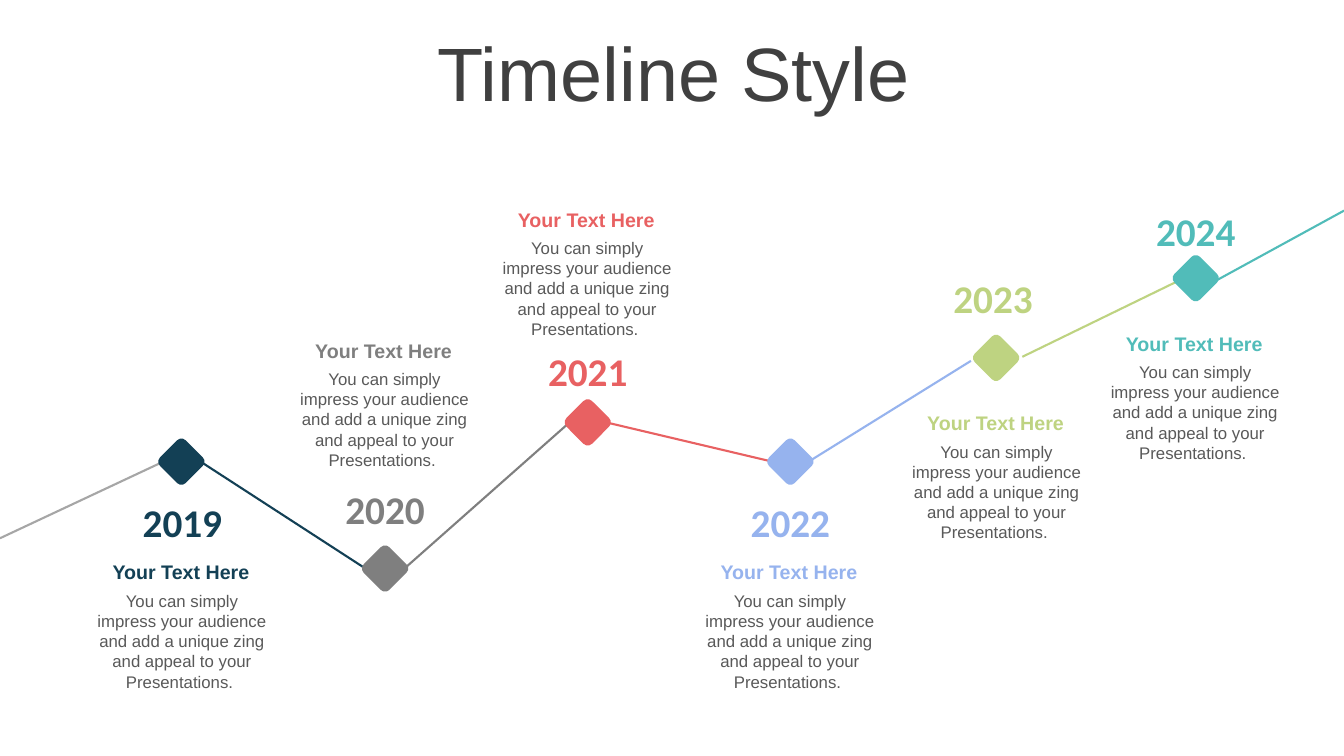
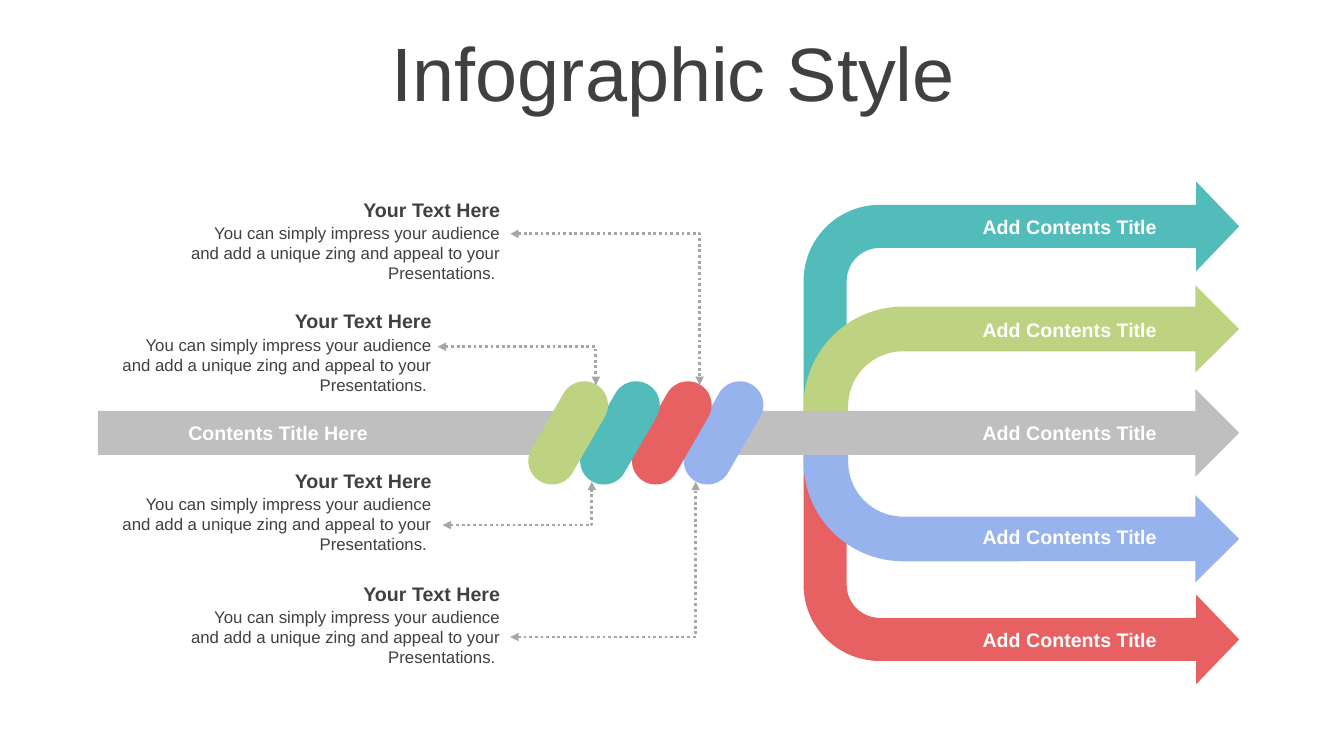
from lxml import etree
from pptx import Presentation
from pptx import util as u
from pptx.dml.color import RGBColor
from pptx.enum import dml, shapes, text
from pptx.oxml.ns import qn

PX = 9144  # EMU in one px, 100 px to the inch
WIDTH, HEIGHT = 1333, 750

NAVY, GRAY, RED = "134055", "7F7F7F", "E86162"
BLUE, GREEN, TEAL = "96B3EE", "BED381", "51BCB9"
INK, BODY, WHITE = "404040", "595959", "FFFFFF"
BAR, RULE = "BFBFBF", "A6A6A6"

CENTER, RIGHT = text.PP_ALIGN.CENTER, text.PP_ALIGN.RIGHT
HEADING = "Your Text Here"
MESSAGE = ("You can simply impress your audience and add a unique zing "
           "and appeal to your Presentations. ")

MARKER = 36
YEAR_LEFT, YEAR_STEP = 123, 201
# year, colour, marker left and top, year top, caption left and top
MILESTONES = [
    ("2019", NAVY, 162, 440, 489, 84, 551),
    ("2020", GRAY, 364, 546, 477, 285, 331),
    ("2021", RED, 565, 401, 340, 486, 201),
    ("2022", BLUE, 766, 440, 489, 687, 551),
    ("2023", GREEN, 970, 337, 267, 892, 403),
    ("2024", TEAL, 1168, 258, 201, 1089, 324),
]
# colour, start, end
TRAIL = [
    (RULE, (0, 534), (162, 458)),
    (NAVY, (199, 458), (364, 565)),
    (GRAY, (400, 565), (565, 419)),
    (RED, (601, 419), (766, 458)),
    (BLUE, (802, 458), (963, 358)),
    (GREEN, (1014, 354), (1168, 279)),
    (TEAL, (1205, 279), (WIDTH, 209)),
]

WIDE_BEND = (0.185, 0.193, 0.185, 0.327)
TIGHT_BEND = (0.343, 0.336, 0.337, 0.765)
# colour, top, height, bend, flipped
BRANCHES = [
    (TEAL, 180, 231, WIDE_BEND, False),
    (RED, 448, 231, WIDE_BEND, True),
    (GREEN, 283, 129, TIGHT_BEND, False),
    (BLUE, 449, 129, TIGHT_BEND, True),
]
BRANCH_LABEL_TOPS = (208, 311, 413, 516, 618)
COIL_LEFT, COIL_STEP = 540, 51.4
COIL_COLORS = (GREEN, TEAL, RED, BLUE)
# left and top of each note
NOTES = [(172, 191), (104, 302), (104, 460), (172, 572)]
# note end, coil end
LEADERS = [
    ((434, 344), (591, 382)),
    ((506, 232), (694, 382)),
    ((439, 521), (587, 478)),
    ((506, 632), (690, 478)),
]


def px(*lengths):
    return [u.Emu(round(length * PX)) for length in lengths]


def color(hex_value):
    return RGBColor.from_string(hex_value)


def add_text(page, box, words, size, hex_value, bold=False, align=CENTER, font="Arial"):
    frame = page.shapes.add_textbox(*px(*box)).text_frame
    frame.word_wrap = True
    para = frame.paragraphs[0]
    para.text = words
    para.alignment = align
    para.font.name = font
    para.font.size = u.Pt(size)
    para.font.bold = bold
    para.font.color.rgb = color(hex_value)
    return frame


def add_page(deck, title):
    page = deck.slides.add_slide(deck.slide_layouts[6])
    frame = add_text(page, (35, 37, 1266, 79), title, 54, INK)
    frame.vertical_anchor = text.MSO_ANCHOR.MIDDLE
    frame.paragraphs[0].line_spacing = 0.9
    return page


def add_shape(page, kind, box, fill, adjustments=(), rotation=0, flipped=False):
    shape = page.shapes.add_shape(kind, *px(*box))
    shape.shadow.inherit = False
    shape.fill.solid()
    shape.fill.fore_color.rgb = color(fill)
    shape.line.fill.background()
    shape.rotation = rotation
    for index, value in enumerate(adjustments):
        shape.adjustments[index] = value
    if flipped:
        shape.element.spPr.find(qn("a:xfrm")).set("flipV", "1")
    return shape


def add_line(page, start, end, hex_value, width, kind=shapes.MSO_CONNECTOR.STRAIGHT):
    line = page.shapes.add_connector(kind, *px(*start, *end))
    line.line.color.rgb = color(hex_value)
    line.line.width = u.Pt(width)
    etree.SubElement(line.element.spPr, qn("a:effectLst"))
    return line


def add_leader(page, start, end):
    """Dotted one-corner connector, first level and then upright, with two arrowheads."""
    leader = add_line(page, start, end, RULE, 2, shapes.MSO_CONNECTOR.ELBOW)
    leader.line.dash_style = dml.MSO_LINE.ROUND_DOT
    properties = leader.element.spPr
    properties.find(qn("a:prstGeom")).set("prst", "bentConnector2")
    outline = properties.find(qn("a:ln"))
    for tag in ("a:headEnd", "a:tailEnd"):
        etree.SubElement(outline, qn(tag), type="triangle")


def add_caption(page, left, top, hex_value):
    add_text(page, (left, top + 30, 193, 111), MESSAGE, 12, BODY)
    add_text(page, (left, top, 191, 34), HEADING, 14, hex_value, bold=True)


def add_note(page, left, top):
    add_text(page, (left, top + 25, 334, 71), MESSAGE, 12, INK, align=RIGHT)
    add_text(page, (left, top, 334, 34), HEADING, 14, INK, bold=True, align=RIGHT)


def build_timeline(deck):
    page = add_page(deck, "Timeline Style")
    for hex_value, start, end in TRAIL:
        add_line(page, start, end, hex_value, 1.5)
    for index, milestone in enumerate(MILESTONES):
        year, hex_value, left, top, year_top, caption_left, caption_top = milestone
        year_box = (YEAR_LEFT + index * YEAR_STEP, year_top, 116, 57)
        add_text(page, year_box, year, 28, hex_value, bold=True, font="Calibri")
        add_caption(page, caption_left, caption_top, hex_value)
        add_shape(page, shapes.MSO_SHAPE.ROUNDED_RECTANGLE,
                  (left, top, MARKER, MARKER), hex_value, rotation=315)


def build_infographic(deck):
    page = add_page(deck, "Infographic Style")
    for hex_value, top, height, bend, flipped in BRANCHES:
        add_shape(page, shapes.MSO_SHAPE.BENT_ARROW, (797, top, 432, height),
                  hex_value, bend, flipped=flipped)
    add_shape(page, shapes.MSO_SHAPE.RIGHT_ARROW, (97, 386, 1132, 87), BAR)
    for top in BRANCH_LABEL_TOPS:
        add_text(page, (940, top, 242, 34), "Add Contents Title", 14, WHITE, bold=True)
    for index, hex_value in reversed(list(enumerate(COIL_COLORS))):
        add_shape(page, shapes.MSO_SHAPE.ROUNDED_RECTANGLE,
                  (COIL_LEFT + index * COIL_STEP, 374, 47, 111),
                  hex_value, (0.5,), rotation=30)
    add_text(page, (124, 413, 304, 34), "Contents Title Here", 14, WHITE, bold=True)
    for left, top in NOTES:
        add_note(page, left, top)
    for start, end in LEADERS:
        add_leader(page, start, end)


def main():
    deck = Presentation()
    deck.slide_width, deck.slide_height = px(WIDTH, HEIGHT)
    build_timeline(deck)
    build_infographic(deck)
    deck.save("out.pptx")


if __name__ == "__main__":
    main()
